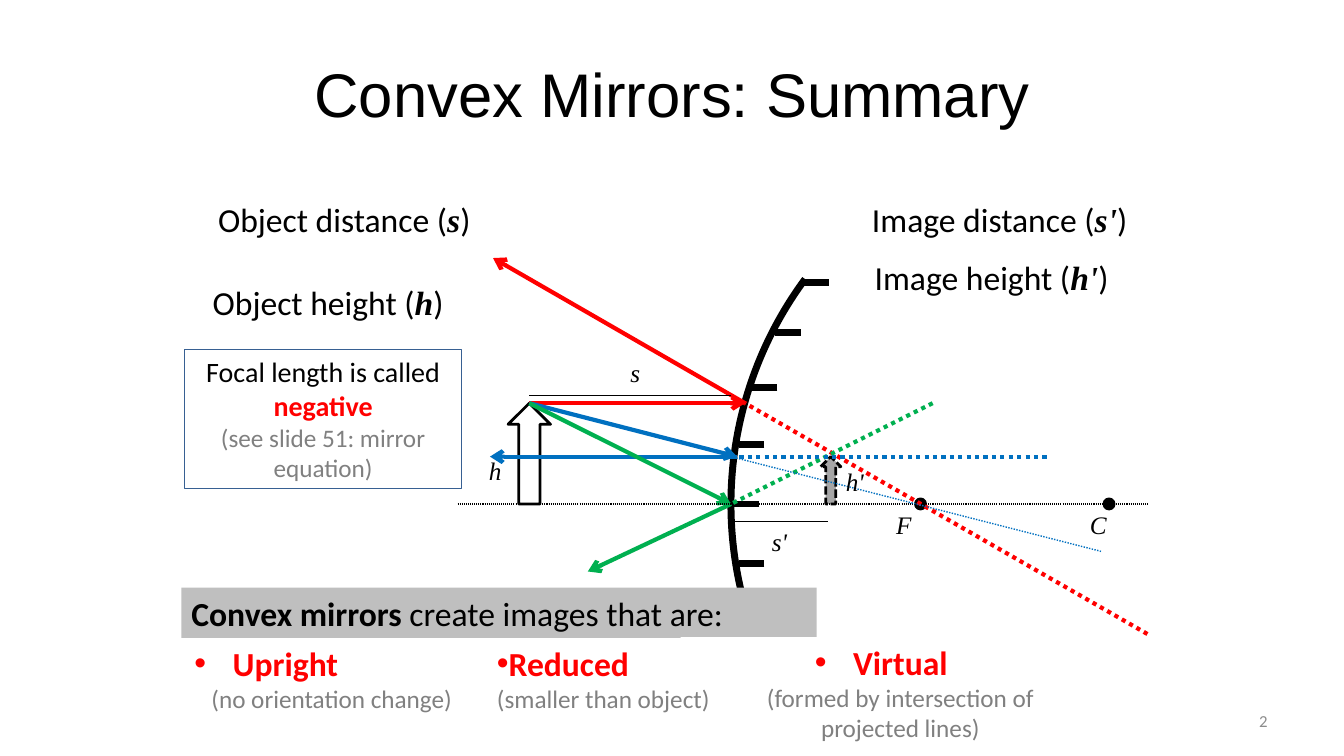
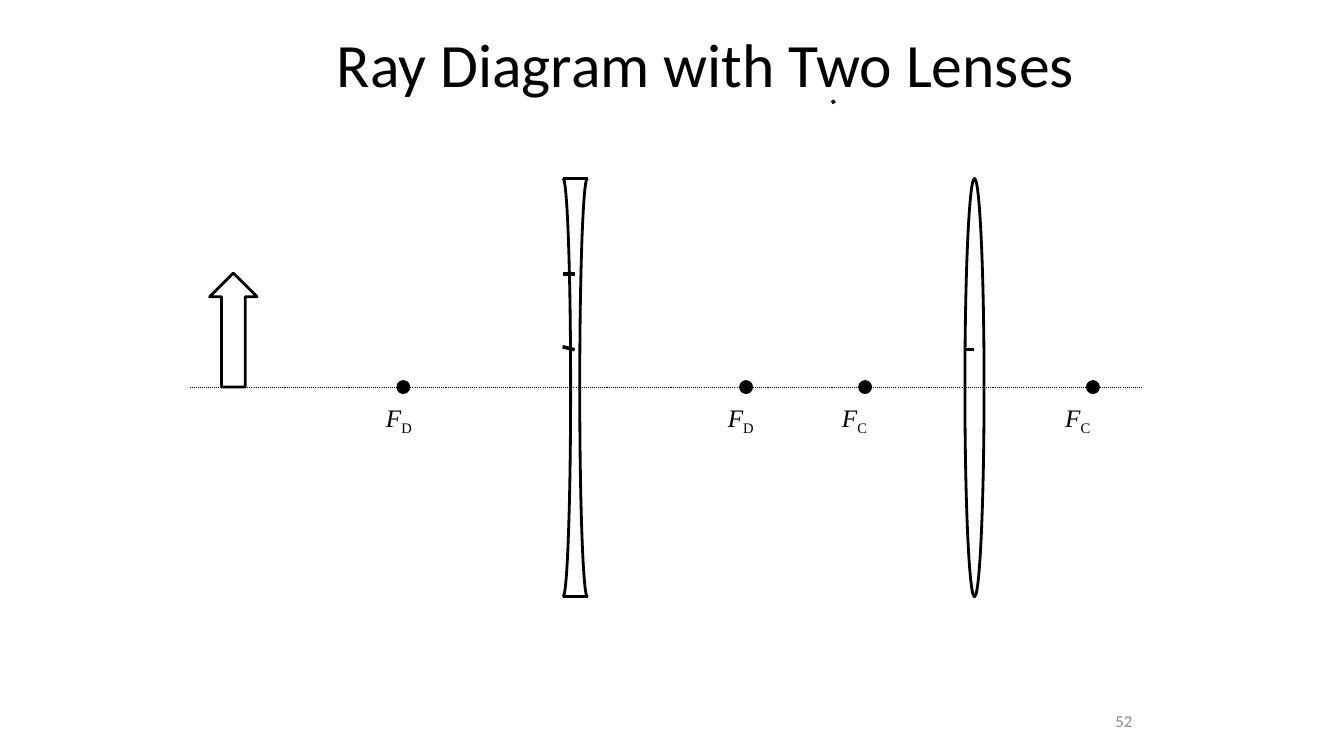
from dataclasses import dataclass
from lxml import etree
from pptx import Presentation
from pptx import util as u
from pptx.dml.color import RGBColor
from pptx.enum import dml, shapes, text
from pptx.oxml.ns import qn

SHAPE = shapes.MSO_SHAPE
DOT, DASH = dml.MSO_LINE.ROUND_DOT, dml.MSO_LINE.SQUARE_DOT
LEFT, CENTER, RIGHT = text.PP_ALIGN.LEFT, text.PP_ALIGN.CENTER, text.PP_ALIGN.RIGHT


@dataclass(frozen=True)
class Theme:
    black: str = "000000"
    white: str = "FFFFFF"
    red: str = "FF0000"
    blue: str = "0070C0"
    green: str = "00B050"
    border: str = "376092"
    band: str = "BFBFBF"
    image_fill: str = "A6A6A6"
    note: str = "808080"
    number: str = "8C8C8C"
    body: str = "Calibri"
    heading: str = "Arial"
    symbol: str = "Times New Roman"
    title_size: int = 44
    large: int = 24
    medium: int = 20
    small: int = 18
    tiny: int = 12


T = Theme()


@dataclass(frozen=True)
class Run:
    text: str
    size: int = T.small
    color: str = T.black
    font: str = T.body
    bold: bool = False
    italic: bool = False
    subscript: bool = False


@dataclass(frozen=True)
class Para:
    runs: tuple
    align: int = LEFT
    bullet_margin: float = None


def symbol(name, sub=""):
    runs = (Run(name, font=T.symbol, italic=True),)
    return runs + ((Run(sub, font=T.symbol, subscript=True),) if sub else ())


def note(words):
    return Run(words, color=T.note)


def keyword(words, size=T.large):
    return Run(words, size, T.red, bold=True)


def add_bullet(p, margin):
    pPr = p._p.get_or_add_pPr()
    pPr.set("marL", str(u.Inches(margin)))
    pPr.set("indent", str(u.Inches(-0.38)))
    etree.SubElement(pPr, qn("a:buFont")).set("typeface", T.heading)
    etree.SubElement(pPr, qn("a:buChar")).set("char", "•")


def write(tf, paras, anchor=text.MSO_ANCHOR.TOP):
    tf.word_wrap = True
    tf.vertical_anchor = anchor
    for i, para in enumerate(paras):
        p = tf.add_paragraph() if i else tf.paragraphs[0]
        p.alignment = para.align
        if para.bullet_margin is not None:
            add_bullet(p, para.bullet_margin)
        for j, run in enumerate(para.runs):
            if run.text == "\n":
                p.add_line_break()
                continue
            r = p.add_run()
            r.text = run.text
            font = r.font
            font.name, font.size = run.font, u.Pt(run.size)
            font.bold, font.italic = run.bold, run.italic
            font.color.rgb = RGBColor.from_string(run.color)
            if run.subscript:
                r._r.get_or_add_rPr().set("baseline", "-25000")


def style_line(line, color, width, dash=None):
    line.color.rgb = RGBColor.from_string(color)
    line.width = u.Pt(width)
    if dash is not None:
        line.dash_style = dash


class Region:
    """Draws on a slide with lengths measured from its own origin."""

    def __init__(self, slide, x=0, y=0):
        self.shapes, self.x, self.y = slide.shapes, x, y

    def at(self, x, y):
        return u.Inches(self.x + x), u.Inches(self.y + y)

    def text(self, x, y, w, h, *paras, anchor=text.MSO_ANCHOR.TOP):
        sp = self.shapes.add_textbox(*self.at(x, y), u.Inches(w), u.Inches(h))
        write(sp.text_frame, paras, anchor)

    def label(self, x, y, w, name, sub="", align=LEFT):
        self.text(x, y, w, 0.4, Para(symbol(name, sub), align))

    def line(self, start, end, color=T.black, width=0.75, dash=None, arrow=False):
        line = self.shapes.add_connector(shapes.MSO_CONNECTOR.STRAIGHT,
                                         *self.at(*start), *self.at(*end))
        style_line(line.line, color, width, dash)
        if arrow:
            etree.SubElement(line.line._get_or_add_ln(), qn("a:tailEnd")).set("type", "arrow")
        etree.SubElement(line._element.spPr, qn("a:effectLst"))

    def shape(self, kind, x, y, w, h, fill=None, line=T.black, width=2, dash=None, paras=()):
        sp = self.shapes.add_shape(kind, *self.at(x, y), u.Inches(w), u.Inches(h))
        sp.shadow.inherit = False
        if fill:
            sp.fill.solid()
            sp.fill.fore_color.rgb = RGBColor.from_string(fill)
        else:
            sp.fill.background()
        if line:
            style_line(sp.line, line, width, dash)
        else:
            sp.line.fill.background()
        if paras:
            write(sp.text_frame, paras)
        return sp

    def arc(self, x, y, w, h, start, end, width=2):
        sp = self.shape(SHAPE.ARC, x, y, w, h, width=width)
        # Arc angles are stored in 1/60000 degree, adjustments in 1/100000
        sp.adjustments[0], sp.adjustments[1] = start * 0.6, end * 0.6

    def dot(self, x, size):
        self.shape(SHAPE.OVAL, x - size / 2, -size / 2, size, size, fill=T.black)


def frame(slide, title, title_box, font, number, number_box):
    """Title and slide number."""
    page = Region(slide)
    middle = text.MSO_ANCHOR.MIDDLE
    page.text(*title_box, Para((Run(title, T.title_size, font=font),), CENTER), anchor=middle)
    page.text(*number_box, Para((Run(number, T.tiny, T.number),), RIGHT), anchor=middle)


def mirror_diagram(slide, x, y):
    """Convex mirror and its rays; the origin is the mirror's vertex."""
    d = Region(slide, x, y)
    # Mirror with hatching
    radius = 3.75
    for left, top in ((0.72, -2.2), (0.44, -1.7), (0.21, -1.16),
                      (0.08, -0.59), (0.08, 0.59), (0.03, 0)):
        d.line((left + 0.25, top), (left, top), width=5)
    d.arc(0, -radius, 2 * radius, 2 * radius, 143.5, 216.5, width=5)
    # Centre, focus and object
    for name, px, lx in (("C", radius, 3.46), ("F", 1.88, 1.54)):
        d.dot(px, 0.1)
        d.label(lx, 0, 0.25, name)
    d.shape(SHAPE.UP_ARROW, -2.21, -1, 0.42, 1)
    # Incoming and reflected rays
    tip, vertex = (-2, -1), (0, 0)
    for color, hit, end in ((T.red, (0.14, -1), (-2.36, -2.44)),
                            (T.blue, (0.06, -0.47), (-2.39, -0.47)),
                            (T.green, vertex, (-1.42, 0.67))):
        d.line(tip, hit, color, 3, arrow=True)
        d.line(hit, end, color, 3, arrow=True)
    # Image, axis and projected rays
    d.shape(SHAPE.UP_ARROW, 0.89, -0.47, 0.2, 0.47, fill=T.image_fill, dash=DASH)
    for start, end, color, width in (
            ((-2.71, 0), (4.13, 0), T.black, 0.75),
            ((4.13, 1.29), (0.14, -1), T.red, 3),
            ((2, -1), vertex, T.green, 3),
            ((0, -0.47), (3.13, -0.47), T.blue, 3),
            ((0, -0.47), (3.67, 0.47), T.blue, 1)):
        d.line(start, end, color, width, DOT)
    # Distances and heights
    d.line((0, 0.17), (0.96, 0.17))
    d.line((-2, -1.08), (0, -1.08))
    d.label(0.27, 0.17, 0.42, "s'", align=CENTER)
    d.label(-1.16, -1.5, 0.42, "s", align=CENTER)
    d.label(-2.5, -0.53, 0.25, "h")
    d.label(1.04, -0.42, 0.42, "h'")


def definitions(slide, x, y):
    """Names of the measured quantities, and the focal length box."""
    d = Region(slide, x, y)
    for left, top, words, name in ((0.16, 0, "Object distance (", "s"),
                                   (0, 0.83, "Object height (", "h"),
                                   (6.66, 0, "Image distance (", "s'"),
                                   (6.58, 0.58, "Image height (", "h'")):
        d.text(left, top, 3.17, 0.51, Para((
            Run(words, T.large),
            Run(name, T.large, font=T.symbol, bold=True, italic=True),
            Run(")", T.large)), CENTER))
    d.shape(SHAPE.RECTANGLE, 0.16, 1.55, 2.75, 1.38, line=T.border, width=0.75, paras=(
        Para((Run("Focal length is called ", T.medium), keyword("negative", T.medium)), CENTER),
        Para((note("(see slide 51: mirror equation)"),), CENTER)))


def properties(slide, x, y):
    """Grey band with the three image properties below it."""
    d = Region(slide, x, y)
    d.shape(SHAPE.RECTANGLE, 0, 0, 6.3, 0.5, fill=T.band, line=None, paras=(
        Para((Run("Convex mirrors ", T.large, bold=True),
              Run("create images that are:", T.large))),))
    d.shape(SHAPE.RECTANGLE, 4.95, 0.49, 3.98, 1.11, fill=T.white, line=None, paras=(
        Para((keyword("Virtual"), Run("\n"),
              note("(formed by intersection of projected lines)")), CENTER, 0.38),))
    for left, width, word, detail, align, margin in (
            (0.03, 2.92, "Upright", "(no orientation change)", CENTER, 0.38),
            (3.03, 2.61, "Reduced", "(smaller than object)", LEFT, 0)):
        d.text(left, 0.5, width, 0.81, Para((keyword(word),), LEFT, margin),
               Para((note(detail),), align))


def lens_diagram(slide, x, y):
    """Diverging and converging lens; the origin is the axis's left end."""
    d = Region(slide, x, y)
    top, height = -2.07, 4.15
    # Object and axis
    d.shape(SHAPE.UP_ARROW, 0.2, -1.13, 0.47, 1.13)
    d.line((0, 0), (9.45, 0), dash=DOT)
    # Diverging lens
    d.arc(3.63, top, 0.15, height, 270, 90)
    d.arc(3.87, top, 0.15, height, 90, 270)
    for edge in (top, top + height):
        d.line((3.7, edge), (3.95, edge), width=2)
    # Converging lens
    d.shape(SHAPE.OVAL, 7.69, top, 0.19, height)
    # Focal points
    for px, lx, width, sub, align in ((2.12, 1.85, 0.51, "D", LEFT),
                                      (5.52, 5.24, 0.6, "D", LEFT),
                                      (6.7, 6.31, 0.57, "C", CENTER),
                                      (8.96, 8.48, 0.66, "C", CENTER)):
        d.dot(px, 0.11)
        d.label(lx, 0.1, width, "F", sub, align)
    # Short ray marks
    for start, end in (((3.7, -1.12), (3.82, -1.12)), ((3.7, -0.4), (3.82, -0.37)),
                       ((7.78, -0.37), (7.7, -0.37)), ((6.37, -2.82), (6.4, -2.84))):
        d.line(start, end, width=2.5)


def main():
    prs = Presentation()
    prs.slide_width, prs.slide_height = u.Inches(13.33), u.Inches(7.5)
    blank = prs.slide_layouts[6]

    s = prs.slides.add_slide(blank)
    frame(s, "Convex Mirrors: Summary", (0.67, 0.3, 12, 1.25), T.heading,
          "2", (9.56, 6.95, 3.11, 0.4))
    mirror_diagram(s, 7.25, 5)
    definitions(s, 1.67, 1.92)
    properties(s, 1.8, 5.83)

    s = prs.slides.add_slide(blank)
    frame(s, "Ray Diagram with Two Lenses", (2.5, 0, 9, 1.25), T.body,
          "52", (9, 6.95, 2.33, 0.4))
    lens_diagram(s, 1.88, 3.84)

    prs.save("out.pptx")


if __name__ == "__main__":
    main()
